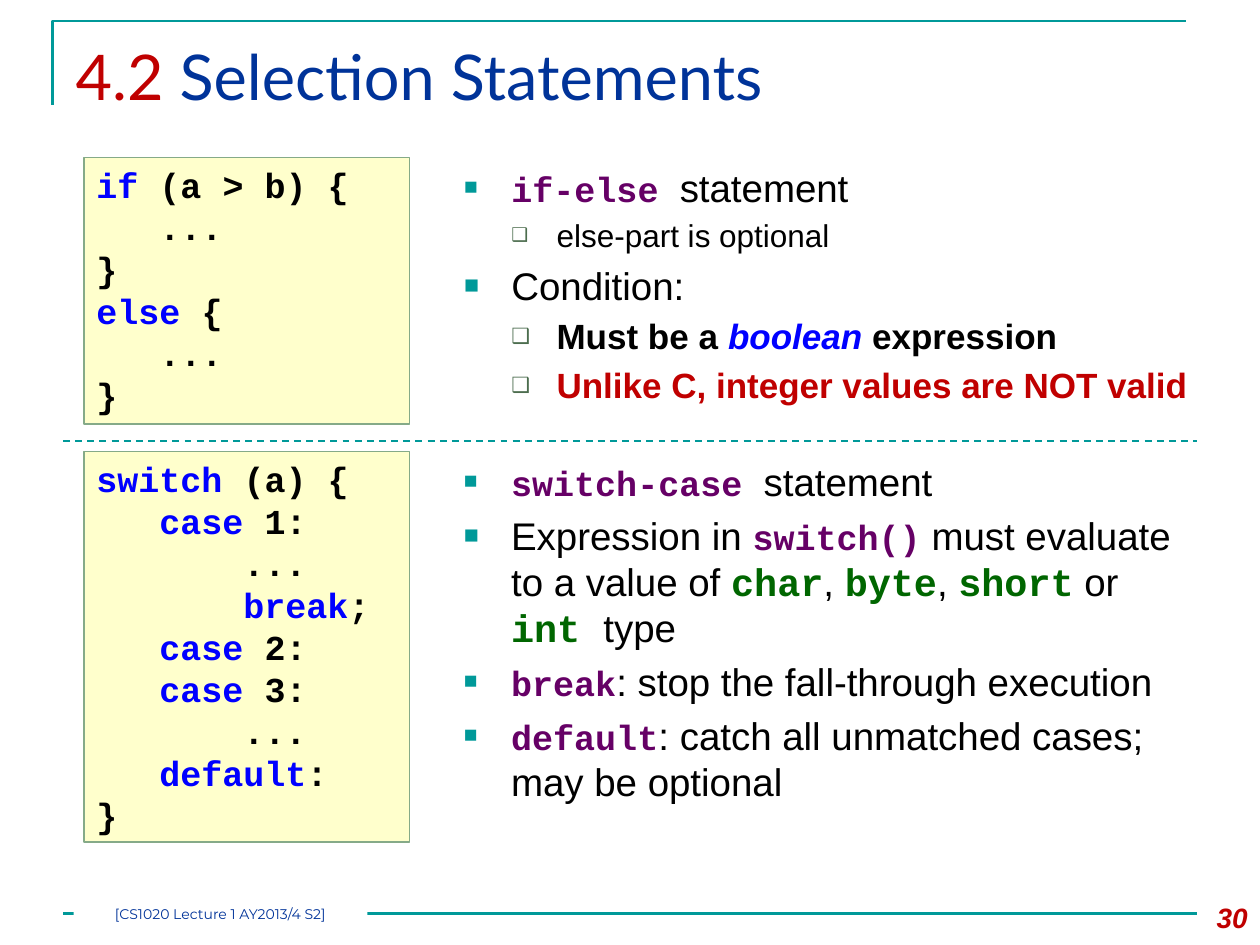
import pptx
import pptx.util
import pptx.dml.color
import pptx.enum.dml
import pptx.enum.shapes
import pptx.enum.text
import pptx.oxml
import pptx.oxml.ns

RGBColor = pptx.dml.color.RGBColor
TEAL = RGBColor(0x00, 0x99, 0x99)
NAVY = RGBColor(0x00, 0x33, 0x99)
RED = RGBColor(0xC0, 0x00, 0x00)
BLUE = RGBColor(0x00, 0x00, 0xFF)
PURPLE = RGBColor(0x66, 0x00, 0x66)
GREEN = RGBColor(0x00, 0x66, 0x00)
MOSS = RGBColor(0x4C, 0x6D, 0x4E)
SAGE = RGBColor(0x85, 0xAA, 0x88)
CREAM = RGBColor(0xFF, 0xFF, 0xCC)
BLACK = RGBColor(0x00, 0x00, 0x00)
WHITE = RGBColor(0xFF, 0xFF, 0xFF)

PX = 7620
CODE_SIZE = 20
CODE_CHAR_PT = 12
LEFT = pptx.enum.text.PP_ALIGN.LEFT
CENTER = pptx.enum.text.PP_ALIGN.CENTER
RIGHT = pptx.enum.text.PP_ALIGN.RIGHT
TOP = pptx.enum.text.MSO_ANCHOR.TOP
MIDDLE = pptx.enum.text.MSO_ANCHOR.MIDDLE


def style(name, size, color, bold=False, italic=False):
    font = {"name": name, "size": pptx.util.Pt(size), "bold": bold, "italic": italic}
    return font, color


STYLES = {
    "title number": style("Lato", 36, RED),
    "title": style("Lato", 36, NAVY),
    "text": style("Arial", 22, BLACK),
    "detail": style("Arial", 18, BLACK),
    "strong": style("Arial", 20, BLACK, bold=True),
    "term": style("Arial", 20, BLUE, bold=True, italic=True),
    "warning": style("Arial", 20, RED, bold=True),
    "statement": style("Courier New", 20, PURPLE, bold=True),
    "type": style("Courier New", 22, GREEN, bold=True),
    "keyword": style("Courier New", CODE_SIZE, BLUE, bold=True),
    "code": style("Courier New", CODE_SIZE, BLACK, bold=True),
    "page number": style("Arial", 16, RED, bold=True, italic=True),
    "footer": style("Montserrat", 8, NAVY),
}

BULLETS = [
    {"marL": 45, "indent": -45, "char": "■", "color": TEAL, "percent": 65},
    {"marL": 88, "indent": -43, "char": "❑", "color": MOSS, "percent": 60},
]

IF_CODE = [
    (0, [("if ", "keyword"), ("(a > b) {", "code")]),
    (3, [("...", "code")]),
    (0, [("}", "code")]),
    (0, [("else ", "keyword"), ("{", "code")]),
    (3, [("...", "code")]),
    (0, [("}", "code")]),
]
SWITCH_CODE = [
    (0, [("switch ", "keyword"), ("(a) {", "code")]),
    (3, [("case", "keyword"), (" 1:", "code")]),
    (7, [("...", "code")]),
    (7, [("break", "keyword"), (";", "code")]),
    (3, [("case", "keyword"), (" 2:", "code")]),
    (3, [("case", "keyword"), (" 3:", "code")]),
    (7, [("...", "code")]),
    (3, [("default", "keyword"), (":", "code")]),
    (0, [("}", "code")]),
]
IF_POINTS = [
    (0, [("if-else ", "statement"), ("statement", "text")]),
    (1, [("else-part is optional", "detail")]),
    (0, [("Condition:", "text")]),
    (1, [("Must be a ", "strong"), ("boolean", "term"), (" expression", "strong")]),
    (1, [("Unlike C, integer values are NOT valid", "warning")]),
]
SWITCH_POINTS = [
    (0, [("switch-case ", "statement"), ("statement", "text")]),
    (0, [("Expression in ", "text"), ("switch()", "statement"),
         (" must evaluate to a value of ", "text"), ("char", "type"), (", ", "text"),
         ("byte", "type"), (", ", "text"), ("short", "type"), (" or ", "text"),
         ("int ", "type"), ("type", "text")]),
    (0, [("break", "statement"), (": stop the fall-through execution", "text")]),
    (0, [("default", "statement"),
         (": catch all unmatched cases; may be optional", "text")]),
]


def px(*lengths):
    return [length * PX for length in lengths]


def place(box, bounds):
    for side, length in zip(("left", "top", "width", "height"), px(*bounds)):
        setattr(box, side, length)


def set_frame(box, anchor=TOP):
    settings = {"word_wrap": True, "vertical_anchor": anchor,
                "auto_size": pptx.enum.text.MSO_AUTO_SIZE.NONE}
    for name, value in settings.items():
        setattr(box.text_frame, name, value)


def write_spans(para, spans, alignment=LEFT):
    para.alignment = alignment
    for text, style_name in spans:
        span = para.add_run()
        span.text = text
        font, color = STYLES[style_name]
        for name, value in font.items():
            setattr(span.font, name, value)
        span.font.color.rgb = color


def paragraphs(box, count):
    frame = box.text_frame
    return [frame.paragraphs[0]] + [frame.add_paragraph() for _ in range(count - 1)]


def add_child(parent, tag, **values):
    child = pptx.oxml.parse_xml(f'<{tag} {pptx.oxml.ns.nsdecls("a")}/>')
    for name, value in values.items():
        child.set(name, str(value))
    parent.append(child)
    return child


def set_bullet(para, level):
    bullet = BULLETS[level]
    para.level = level
    properties = para._p.get_or_add_pPr()
    for name in ("marL", "indent"):
        properties.set(name, str(bullet[name] * PX))
    add_child(add_child(properties, "a:spcBef"), "a:spcPct", val=20000)
    add_child(add_child(properties, "a:buClr"), "a:srgbClr", val=bullet["color"])
    add_child(properties, "a:buSzPct", val=bullet["percent"] * 1000)
    add_child(properties, "a:buFont", typeface="Arial")
    add_child(properties, "a:buChar", char=bullet["char"])


def fill_points(box, points):
    set_frame(box)
    for para, (level, spans) in zip(paragraphs(box, len(points)), points):
        write_spans(para, spans)
        set_bullet(para, level)


def add_rectangle(page, bounds, fill, anchor):
    kind = pptx.enum.shapes.MSO_SHAPE.RECTANGLE
    box = page.shapes.add_shape(kind, *px(*bounds))
    box.shadow.inherit = False
    box.fill.solid()
    box.fill.fore_color.rgb = fill
    box.line.fill.background()
    set_frame(box, anchor)
    return box


def add_code(page, bounds, lines):
    box = add_rectangle(page, bounds, CREAM, TOP)
    box.line.color.rgb = SAGE
    box.line.width = pptx.util.Pt(0.75)
    for para, (columns, spans) in zip(paragraphs(box, len(lines)), lines):
        write_spans(para, spans)
        margin = pptx.util.Pt(columns * CODE_CHAR_PT)
        para._p.get_or_add_pPr().set("marL", str(margin))


def add_textbox(page, bounds):
    box = page.shapes.add_textbox(*px(*bounds))
    set_frame(box)
    return box


def add_rule(page, y, width, dash=None):
    kind = pptx.enum.shapes.MSO_CONNECTOR.STRAIGHT
    rule = page.shapes.add_connector(kind, *px(60, y, 1140, y))
    rule.line.color.rgb = TEAL
    rule.line.width = pptx.util.Pt(width)
    rule.line.dash_style = dash
    add_child(rule._element.spPr, "a:effectLst")


def add_corner(page):
    builder = page.shapes.build_freeform(50, 100, scale=PX)
    builder.add_line_segments([(50, 20), (1130, 20)], close=False)
    corner = builder.convert_to_shape()
    corner.shadow.inherit = False
    corner.fill.background()
    corner.line.color.rgb = TEAL
    corner.line.width = pptx.util.Pt(1.5)


def add_footer(page):
    box = add_rectangle(page, (70, 860, 280, 20), WHITE, MIDDLE)
    for side in ("left", "top", "right", "bottom"):
        setattr(box.text_frame, f"margin_{side}", 0)
    spans = [("[CS1020 Lecture 1 AY2013/4 S2]", "footer")]
    write_spans(box.text_frame.paragraphs[0], spans, CENTER)


def main():
    deck = pptx.Presentation()
    deck.slide_width, deck.slide_height = px(1200, 900)
    page = deck.slides.add_slide(deck.slide_layouts[1])
    add_corner(page)
    add_rule(page, 870, 1.5)

    title = page.shapes.title
    place(title, (60, 30, 1080, 103))
    set_frame(title)
    write_spans(title.text_frame.paragraphs[0],
                [("4.2", "title number"), (" Selection Statements", "title")])

    body = page.placeholders[1]
    place(body, (430, 150, 730, 250))
    fill_points(body, IF_POINTS)
    add_code(page, (80, 150, 310, 254), IF_CODE)
    fill_points(add_textbox(page, (430, 430, 720, 360)), SWITCH_POINTS)
    add_code(page, (80, 430, 310, 372), SWITCH_CODE)
    add_rule(page, 420, 1, pptx.enum.dml.MSO_LINE.DASH)

    number = add_textbox(page, (1120, 852, 80, 48))
    write_spans(number.text_frame.paragraphs[0], [("30", "page number")], RIGHT)
    add_footer(page)
    deck.save("out.pptx")


if __name__ == "__main__":
    main()
